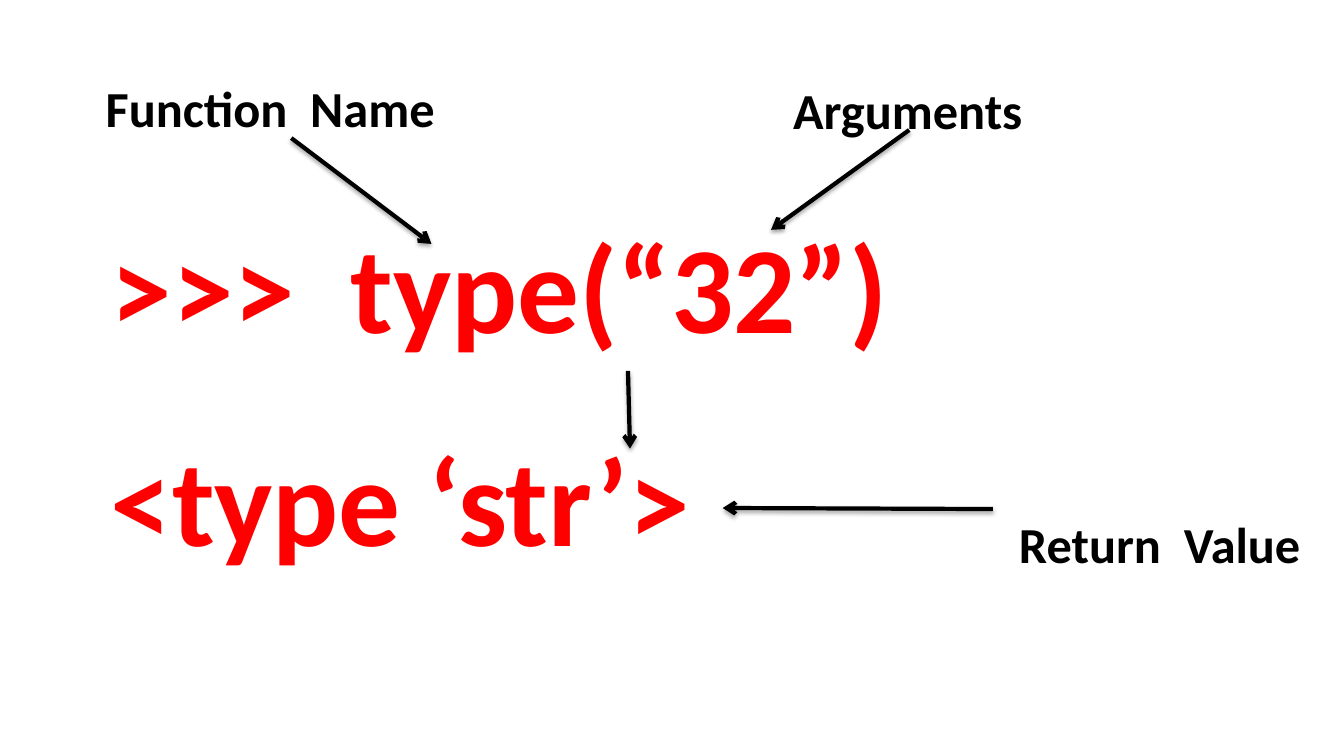
from lxml.etree import SubElement
from pptx import Presentation
from pptx.dml.color import RGBColor
from pptx.enum.shapes import MSO_CONNECTOR
from pptx.enum.text import MSO_ANCHOR, MSO_AUTO_SIZE
from pptx.oxml import parse_xml
from pptx.oxml.ns import nsdecls, qn
from pptx.util import Inches, Pt


def paint(code):
    """Turn a hex string into a colour."""
    return RGBColor.from_string(code)


def assign(target, values):
    """Set each attribute named in a dict of values."""
    for name, value in values.items():
        setattr(target, name, value)


class Board:
    """Hold the style, the grid and the current slide."""

    cols, rows = 40, 30
    code = {"size": Pt(88), "name": "Calibri", "bold": True}
    label = {**code, "size": Pt(36)}
    red, black = "FF0000", "000000"
    glow = (
        f'<a:effectLst {nsdecls("a")}>'
        '<a:outerShdw blurRad="39370" dist="22860" dir="5400000" rotWithShape="0">'
        f'<a:srgbClr val="{black}"><a:alpha val="35000"/></a:srgbClr>'
        "</a:outerShdw></a:effectLst>"
    )

    def __init__(self, deck):
        """Add a blank slide and measure its grid."""
        self.slide = deck.slides.add_slide(deck.slide_layouts[6])
        self.col = deck.slide_width / self.cols
        self.row = deck.slide_height / self.rows

    def place(self, *cells):
        """Turn column and row pairs into lengths."""
        units = (self.col, self.row)
        return [round(cell * units[i % 2]) for i, cell in enumerate(cells)]

    def add_text(self, text, spot, font, color, frame, spacing=1.0):
        """Add one line of text in a box."""
        box = self.slide.shapes.add_textbox(*self.place(*spot)).text_frame
        assign(box, frame)
        line = box.paragraphs[0]
        line.line_spacing = spacing
        run = line.add_run()
        run.text = text
        assign(run.font, font)
        run.font.color.rgb = paint(color)

    def show_code(self, text, top):
        """Add a large red line of code."""
        frame = {"word_wrap": True, "vertical_anchor": MSO_ANCHOR.MIDDLE}
        self.add_text(text, (3, top, 31.17, 4.6), self.code, self.red, frame, 0.97)

    def show_label(self, text, left, top, width):
        """Add a black label that fits its text."""
        frame = {"word_wrap": False, "auto_size": MSO_AUTO_SIZE.SHAPE_TO_FIT_TEXT}
        self.add_text(text, (left, top, width, 2.84), self.label, self.black, frame)

    def point(self, *ends):
        """Add a shadowed arrow from one point to another."""
        arrow = self.slide.shapes.add_connector(
            MSO_CONNECTOR.STRAIGHT, *self.place(*ends))
        arrow.line.width = Pt(3)
        arrow.line.color.rgb = paint(self.black)
        props = arrow.line._get_or_add_ln().getparent()
        SubElement(props.find(qn("a:ln")), qn("a:tailEnd"), type="arrow")
        props.append(parse_xml(self.glow))


deck = Presentation()
assign(deck, {"slide_width": Inches(13.33), "slide_height": Inches(7.5)})
board = Board(deck)

board.show_code(">>>  type(“32”)", 9.24)
board.point(8.67, 5.48, 12.84, 9.68)
board.point(27.06, 5.16, 22.95, 9.12)
board.show_label("Function  Name", 2.85, 2.88, 10.53)
board.show_label("Arguments", 23.31, 2.96, 7.5)
board.point(18.69, 14.72, 18.75, 17.8)
board.show_code("<type ‘str’>", 17.68)
board.show_label("Return  Value", 30.03, 20.16, 9.06)
board.point(29.55, 20.2, 21.51, 20.16)

deck.save("out.pptx")
